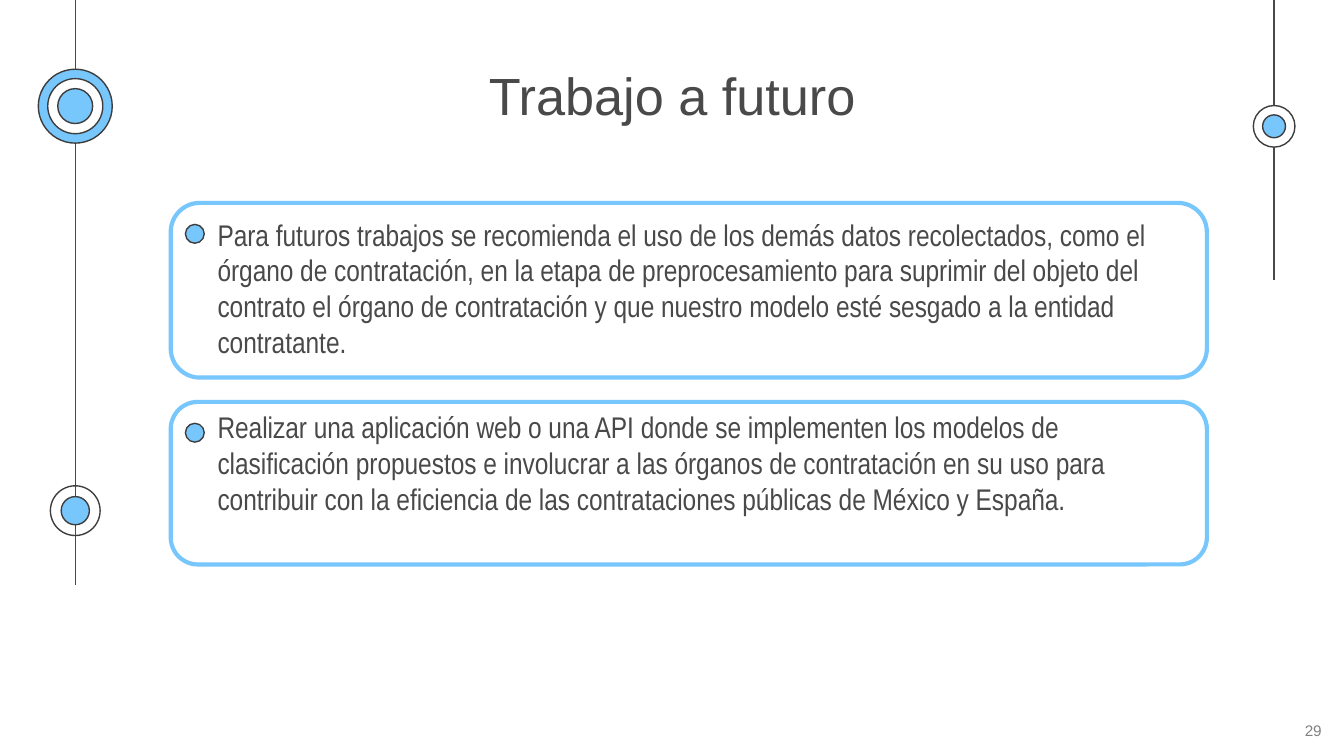
from lxml import etree
from pptx import Presentation
from pptx import util as u
from pptx.dml.color import RGBColor
from pptx.enum import shapes, text
from pptx.oxml.ns import qn

WIDTH = 10
HEIGHT = WIDTH * 9 / 16
COLOURS = {"ink": "494949", "outline": "3D3D3D", "blue": "77C6FC",
           "white": "FFFFFF", "number": "808080"}
CARDS = [
    # card top and height, text top, text
    (1.51, 1.3, 1.51,
     "Para futuros trabajos se recomienda el uso de los demás datos recolectados, "
     "como el órgano de contratación, en la etapa de preprocesamiento para suprimir "
     "del objeto del contrato el órgano de contratación y que nuestro modelo esté "
     "sesgado a la entidad contratante."),
    (2.99, 1.21, 2.94,
     "Realizar una aplicación web o una API donde se implementen los modelos de "
     "clasificación propuestos e involucrar a las órganos de contratación en su uso "
     "para contribuir con la eficiencia de las contrataciones públicas de México y "
     "España."),
]


def colour(name):
    return RGBColor.from_string(COLOURS[name])


def inches(*lengths):
    return [u.Inches(length) for length in lengths]


def add_outlined(slide, kind, box, fill, line, points):
    shape = slide.shapes.add_shape(kind, *inches(*box))
    shape.shadow.inherit = False
    if fill:
        shape.fill.solid()
        shape.fill.fore_color.rgb = colour(fill)
    else:
        shape.fill.background()
    shape.line.color.rgb = colour(line)
    shape.line.width = u.Pt(points)


def add_circle(slide, x, y, diameter, fill):
    """Draw a thinly outlined circle centred on x, y."""
    box = (x - diameter / 2, y - diameter / 2, diameter, diameter)
    add_outlined(slide, shapes.MSO_SHAPE.OVAL, box, fill, "outline", 0.75)


def add_timeline(slide, x, length, targets):
    """Hang a line from the top edge; each target is (y, [(diameter, fill), ...])."""
    line = slide.shapes.add_connector(
        shapes.MSO_CONNECTOR.STRAIGHT, *inches(x, 0, x, length))
    line.line.color.rgb = colour("ink")
    line.line.width = u.Pt(0.75)
    etree.SubElement(line._element.spPr, qn("a:effectLst"))
    for y, rings in targets:
        for diameter, fill in rings:
            add_circle(slide, x, y, diameter, fill)


def write(shape, words, size, font, ink, inset=0.1, align=text.PP_ALIGN.LEFT):
    frame = shape.text_frame
    frame.word_wrap = True
    frame.auto_size = text.MSO_AUTO_SIZE.NONE
    frame.vertical_anchor = text.MSO_ANCHOR.TOP
    frame.margin_left = frame.margin_right = u.Inches(0.1)
    frame.margin_top = frame.margin_bottom = u.Inches(inset)
    paragraph = frame.paragraphs[0]
    paragraph.alignment = align
    run = paragraph.add_run()
    run.text = words
    run.font.size = u.Pt(size)
    run.font.name = font
    run.font.color.rgb = colour(ink)


def add_title(slide, box, words):
    title = slide.shapes.title
    title.left, title.top, title.width, title.height = inches(*box)
    write(title, words, 28, "Arial", "ink", align=text.PP_ALIGN.CENTER)


def add_card(slide, box, text_top, words):
    left, top, width, height = box
    margin = 0.25
    add_outlined(slide, shapes.MSO_SHAPE.ROUNDED_RECTANGLE, box, None, "blue", 2.25)
    body = slide.shapes.add_textbox(
        *inches(left + margin, text_top, width - 2 * margin, height))
    write(body, words, 16, "Arial Narrow", "ink")
    add_circle(slide, left + 0.18, top + 0.23, 0.14, "blue")


def add_page_number(slide, box, number):
    write(slide.shapes.add_textbox(*inches(*box)), number, 8.2, "Arial", "number",
          inset=0.05)


def main():
    presentation = Presentation()
    presentation.slide_width, presentation.slide_height = inches(WIDTH, HEIGHT)
    slide = presentation.slides.add_slide(presentation.slide_layouts[5])

    add_timeline(slide, 0.56, 4.35, [
        (0.79, [(0.55, "blue"), (0.41, "white"), (0.26, "blue")]),
        (3.8, [(0.37, None), (0.21, "blue")])])
    add_timeline(slide, 9.48, 2.08, [(0.94, [(0.31, "white"), (0.17, "blue")])])

    title_width = 3.52
    add_title(slide, ((WIDTH - title_width) / 2, 0.37, title_width, 0.63),
              "Trabajo a futuro")
    for top, height, text_top, words in CARDS:
        add_card(slide, (1.27, top, 7.71, height), text_top, words)
    add_page_number(slide, (WIDTH - 0.39, 5.32, 0.39, 0.24), "29")
    presentation.save("out.pptx")


if __name__ == "__main__":
    main()
